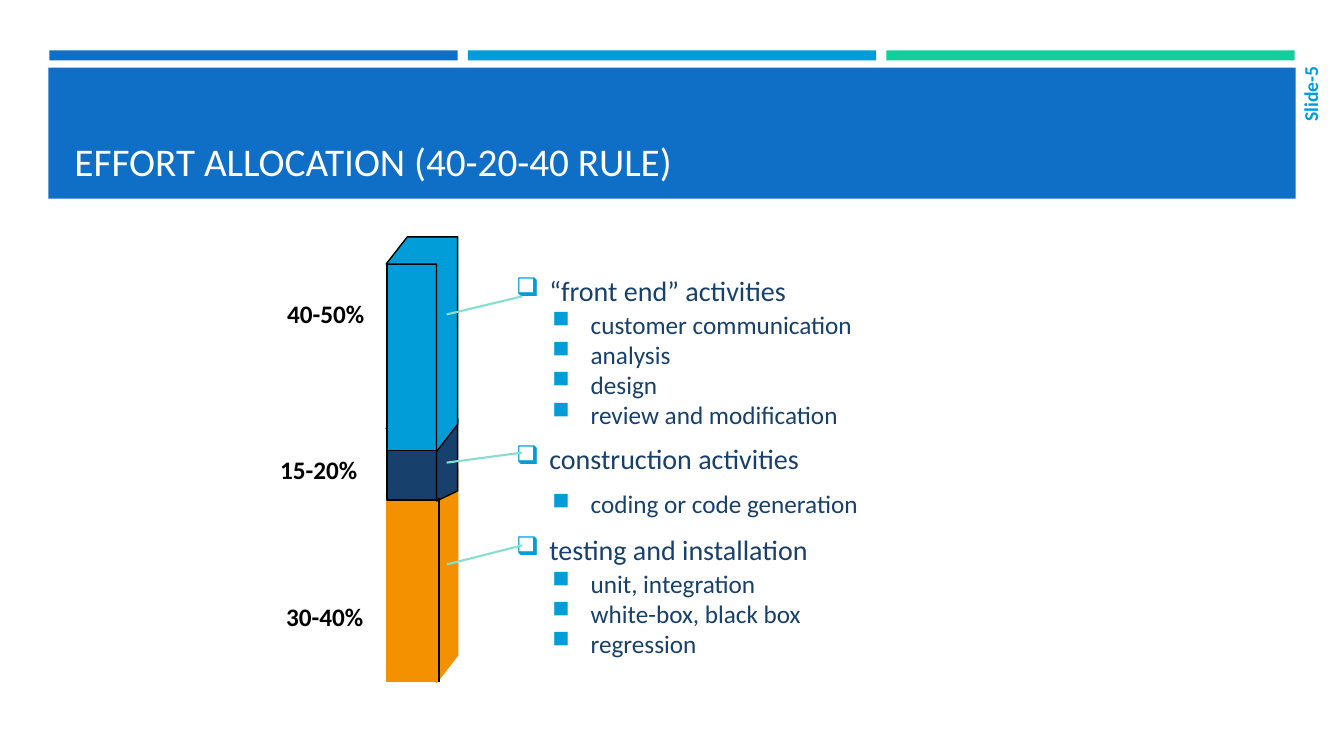
import pptx
import pptx.dml.color
import pptx.enum.shapes
import pptx.enum.text
import pptx.oxml
import pptx.oxml.ns
import pptx.util

Inches = pptx.util.Inches
Pt = pptx.util.Pt
RGBColor = pptx.dml.color.RGBColor
Anchor = pptx.enum.text.MSO_ANCHOR
Align = pptx.enum.text.PP_ALIGN

BLUE = RGBColor(0x0F, 0x6F, 0xC6)
CYAN = RGBColor(0x00, 0x9D, 0xD9)
GREEN = RGBColor(0x10, 0xCF, 0x9B)
NAVY = RGBColor(0x17, 0x40, 0x6D)
ORANGE = RGBColor(0xF4, 0x91, 0x00)
MINT = RGBColor(0x85, 0xDF, 0xD0)
BLACK = RGBColor(0x00, 0x00, 0x00)
WHITE = RGBColor(0xFF, 0xFF, 0xFF)

ACTIVITIES = [
    ("“front end” activities", 0.55,
     ["customer communication", "analysis", "design", "review and modification"]),
    ("construction activities", 1.0, ["coding or code generation"]),
    ("testing and installation", 0.55,
     ["unit, integration", "white-box, black box", "regression"]),
]


def paint(shape, fill, outline=None):
    """Give a shape a flat fill and an optional one-point outline."""
    shape.shadow.inherit = False
    shape.fill.solid()
    shape.fill.fore_color.rgb = fill
    if outline is None:
        shape.line.fill.background()
    else:
        shape.line.color.rgb = outline
        shape.line.width = Pt(1)


def add_rect(slide, left, top, width, height, fill, outline=None):
    """Draw a rectangle measured in inches."""
    rect = slide.shapes.add_shape(
        pptx.enum.shapes.MSO_SHAPE.RECTANGLE,
        Inches(left), Inches(top), Inches(width), Inches(height))
    paint(rect, fill, outline)


def add_frame(slide, left, top, width, height, anchor):
    """Add a wrapping text box measured in inches and return its frame."""
    frame = slide.shapes.add_textbox(
        Inches(left), Inches(top), Inches(width), Inches(height)).text_frame
    frame.word_wrap = True
    frame.vertical_anchor = anchor
    return frame


def add_run(paragraph, text, size, color, bold=False):
    """Append one Calibri run to a paragraph."""
    run = paragraph.add_run()
    run.text = text
    run.font.name = "Calibri"
    run.font.size = Pt(size)
    run.font.bold = bold
    run.font.color.rgb = color


def add_line(slide, start, end, color):
    """Draw a straight line between two points given in inches."""
    line = slide.shapes.add_connector(
        pptx.enum.shapes.MSO_CONNECTOR.STRAIGHT,
        *(Inches(value) for value in (*start, *end)))
    line.line.color.rgb = color
    line.line.width = Pt(1.5)
    properties = line._element.spPr
    properties.append(properties.makeelement(pptx.oxml.ns.qn("a:effectLst"), {}))


def add_header(slide, left, top, width):
    """Place the three colour strips, the title band and the slide number."""
    strip, gap = 4.05, 0.1
    for index, color in enumerate((BLUE, CYAN, GREEN)):
        add_rect(slide, left + 0.01 + index * (strip + gap), top, strip, 0.1, color)
    add_rect(slide, left, top + 0.17, width, 1.3, BLUE)
    title = add_frame(slide, left + 0.16, top + 0.27, width - 0.31, 1.11, Anchor.BOTTOM)
    add_run(title.paragraphs[0], "EFFORT ALLOCATION (40-20-40 RULE)", 28, WHITE)

    number = add_frame(slide, left + width + 0.02, top + 0.16, 0.25, 0.91, Anchor.MIDDLE)
    number.margin_left = number.margin_right = 0
    number.margin_top = number.margin_bottom = 0
    number._txBody.bodyPr.set("vert", "vert270")
    number.paragraphs[0].alignment = Align.RIGHT
    add_run(number.paragraphs[0], "Slide-5", 14, CYAN, True)


def add_block(slide, left, top, base, depth, fill, outline):
    """Draw one block of the column: a front face, then its top and side."""
    front, shift = 0.5, 0.21
    add_rect(slide, left + 0.01, top + depth, front - 0.01, base - top - depth - 0.01,
             fill, outline)
    right = left + front
    corners = [(right, base), (right + shift, base - depth), (right + shift, top),
               (left + shift, top), (left, top + depth), (right, top + depth)]
    points = [(Inches(x), Inches(y)) for x, y in corners]
    builder = slide.shapes.build_freeform(*points[0])
    builder.add_line_segments(points[1:], close=True)
    paint(builder.convert_to_shape(), fill, outline)


def add_column(slide, left, top):
    """Stack the three effort blocks and label their shares."""
    blocks = [(2.29, 4.42, 0.27, ORANGE, ORANGE), (1.8, 2.62, 0.1, NAVY, BLACK),
              (0, 2.13, 0.27, CYAN, BLACK)]
    for block_top, base, depth, fill, outline in blocks:
        add_block(slide, left, top + block_top, top + base, depth, fill, outline)
    shares = [("40-50%", 1.08, 0.59), ("15-20%", 1.15, 2.14), ("30-40%", 1.09, 3.6)]
    for share, offset, drop in shares:
        label = add_frame(slide, left - offset, top + drop, 1.35, 0.46, Anchor.TOP)
        label.paragraphs[0].line_spacing = 0.9
        add_run(label.paragraphs[0], share, 18, BLACK, True)


def add_bullet(paragraph, symbol, margin, hanging):
    """Give a paragraph a cyan bullet and a hanging indent."""
    properties = paragraph._p.get_or_add_pPr()
    properties.set("marL", str(Inches(margin)))
    properties.set("indent", str(-Inches(hanging)))
    color = pptx.oxml.parse_xml(
        f'<a:buClr {pptx.oxml.ns.nsdecls("a")}><a:srgbClr val="{CYAN}"/></a:buClr>')
    properties.append(color)
    for tag, name, value in (("a:buSzPct", "val", "92000"),
                             ("a:buChar", "char", symbol)):
        properties.append(properties.makeelement(pptx.oxml.ns.qn(tag), {name: value}))


def add_activities(slide, left, top, width, height):
    """List each group of activities with its indented tasks."""
    frame = add_frame(slide, left, top, width, height, Anchor.MIDDLE)
    rows = []
    for group, spacing, tasks in ACTIVITIES:
        rows.append((group, 0, 1.0))
        rows.extend((task, 1, spacing) for task in tasks)
    for index, (text, level, spacing) in enumerate(rows):
        paragraph = frame.add_paragraph() if index else frame.paragraphs[0]
        size = 18 if level else 20
        paragraph.level = level
        paragraph.line_spacing = spacing
        paragraph.space_before = Pt(size * 0.2 if index else 0)
        paragraph.space_after = Pt(6)
        if level:
            add_bullet(paragraph, "■", 0.74, 0.38)
        else:
            add_bullet(paragraph, "❑", 0.33, 0.33)
        add_run(paragraph, text, size, NAVY)


def add_leaders(slide, left, right):
    """Join each block to its group of activities and edge the lowest block."""
    for list_y, block_y in ((2.94, 3.12), (4.49, 4.59), (5.41, 5.6)):
        add_line(slide, (right, list_y), (left, block_y), MINT)
    add_line(slide, (left - 0.08, 4.94), (left - 0.08, 6.77), BLACK)


def main():
    """Build the slide and save it."""
    deck = pptx.Presentation()
    deck.slide_width, deck.slide_height = Inches(13.33), Inches(7.5)
    slide = deck.slides.add_slide(deck.slide_layouts[6])
    add_header(slide, 0.48, 0.5, 12.37)
    add_activities(slide, 5.02, 2.52, 4.33, 4.19)
    add_column(slide, 3.83, 2.35)
    add_leaders(slide, 4.43, 5.18)
    deck.save("out.pptx")


if __name__ == "__main__":
    main()
